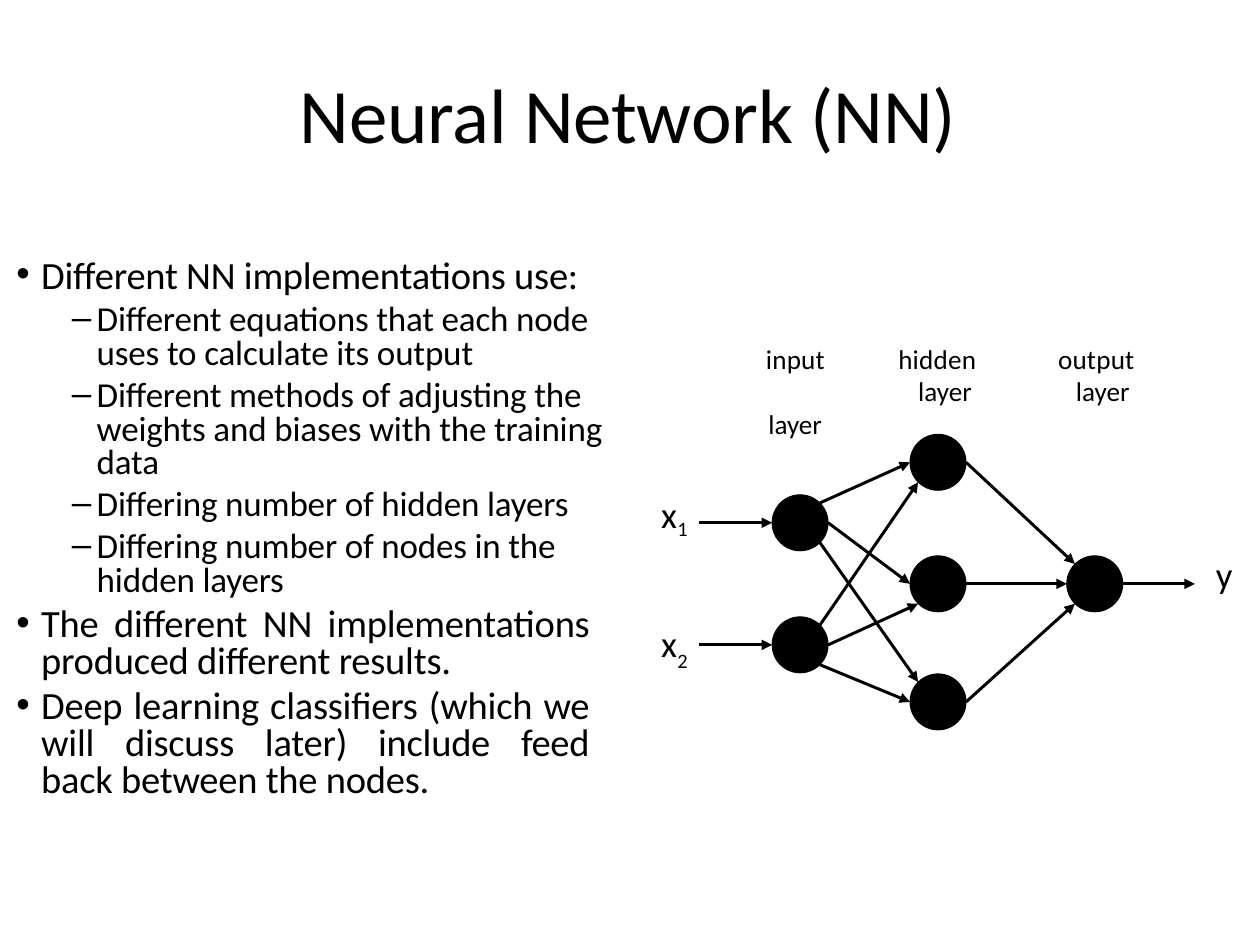
from lxml import etree
from pptx import Presentation
from pptx import util as u
from pptx.dml.color import RGBColor
from pptx.enum import shapes, text
from pptx.oxml import ns

COLORS = {"ink": "000000", "paper": "FFFFFF"}
FONT = "Calibri"
NODE_SIZE = 1.13
LAYERS = {"input": (16.13, (10.54, 13.0)),
          "hidden": (18.91, (9.32, 11.77, 14.15)),
          "output": (22.07, (11.77,))}
PORTS = {"E": (1, 0), "W": (-1, 0), "NE": (0.71, -0.71), "SE": (0.71, 0.71),
         "NW": (-0.71, -0.71), "SW": (-0.71, 0.71)}
LINKS = [
    (("input", 0, "NE"), ("hidden", 0, "W")),
    (("input", 0, "E"), ("hidden", 1, "W")),
    (("input", 0, "SE"), ("hidden", 2, "NW")),
    (("input", 1, "NE"), ("hidden", 0, "SW")),
    (("input", 1, "E"), ("hidden", 1, "SW")),
    (("input", 1, "SE"), ("hidden", 2, "W")),
    (("hidden", 0, "E"), ("output", 0, "NW")),
    (("hidden", 1, "E"), ("output", 0, "W")),
    (("hidden", 2, "E"), ("output", 0, "SW")),
]
POINT = dict(size=22, margin=0.53, indent=-0.5)
DETAIL = dict(size=20, level=1, margin=1.65, indent=-0.5)
WRAPPED = dict(DETAIL, line=0.8, before=4.8)
CONCLUSION = dict(POINT, line=u.Pt(21.1), before=5, right=0.42,
                  align=text.PP_ALIGN.JUSTIFY)
POINTS = [
    ("Different NN implementations use:", POINT),
    ("Different equations that each node uses to calculate its output", WRAPPED),
    ("Different methods of adjusting the weights and biases with the training data", WRAPPED),
    ("Differing number of hidden layers", DETAIL),
    ("Differing number of nodes in the hidden layers", WRAPPED),
    ("The different NN implementations produced different results.", CONCLUSION),
    ("Deep learning classifiers (which we will discuss later) include feed "
     + chr(160).join(("back", "between")) + " the nodes.", CONCLUSION),
]


def color(name):
    return RGBColor.from_string(COLORS[name])


def write(paragraph, words, size=21, level=0, margin=0, indent=0, right=0,
          line=1.0, before=0, align=text.PP_ALIGN.LEFT, baseline=0, spacing=0):
    paragraph.level = level
    paragraph.alignment = align
    paragraph.line_spacing = line
    paragraph.space_before = u.Pt(before)
    properties = paragraph._p.get_or_add_pPr()
    for key, length in (("marL", margin), ("marR", right), ("indent", indent)):
        properties.set(key, str(int(u.Cm(length))))
    run = paragraph.add_run()
    run.text = words
    run.font.name = FONT
    run.font.size = u.Pt(size)
    run.font.color.rgb = color("ink")
    for key, value in (("baseline", baseline), ("spc", spacing)):
        if value:
            run._r.get_or_add_rPr().set(key, str(value))


def prepare(holder, left, top, width, height, anchor=text.MSO_ANCHOR.TOP):
    holder.left, holder.top = u.Cm(left), u.Cm(top)
    holder.width, holder.height = u.Cm(width), u.Cm(height)
    frame = holder.text_frame
    frame.margin_left = frame.margin_right = 0
    frame.margin_top = frame.margin_bottom = 0
    frame.word_wrap = True
    frame.auto_size = text.MSO_AUTO_SIZE.NONE
    frame.vertical_anchor = anchor
    return frame


def add_label(slide, left, top, width, height):
    box = slide.shapes.add_textbox(0, 0, 0, 0)
    return prepare(box, left, top, width, height)


def add_points(holder):
    frame = prepare(holder, 0.3, 5.05, 12.01, 11.2)
    for index, (words, style) in enumerate(POINTS):
        paragraph = frame.add_paragraph() if index else frame.paragraphs[0]
        write(paragraph, words, spacing=-10, **style)


def add_node(slide, x, y):
    corner = NODE_SIZE / 2
    node = slide.shapes.add_shape(shapes.MSO_SHAPE.OVAL, u.Cm(x - corner), u.Cm(y - corner),
                                  u.Cm(NODE_SIZE), u.Cm(NODE_SIZE))
    node.shadow.inherit = False
    node.fill.solid()
    node.fill.fore_color.rgb = color("ink")
    node.line.color.rgb = color("ink")
    node.line.width = u.Pt(0.5)


def port(layer, index, side):
    x, rows = LAYERS[layer]
    across, down = PORTS[side]
    return x + across * NODE_SIZE / 2, rows[index] + down * NODE_SIZE / 2


def add_arrow(slide, start, end):
    arrow = slide.shapes.add_connector(shapes.MSO_CONNECTOR.STRAIGHT,
                                       *(u.Cm(value) for value in (*start, *end)))
    arrow.line.color.rgb = color("ink")
    arrow.line.width = u.Pt(1.71)
    etree.SubElement(arrow.line._get_or_add_ln(), ns.qn("a:tailEnd"),
                     type="triangle", w="med", len="med")
    etree.SubElement(arrow._element.spPr, ns.qn("a:effectLst"))


def add_network(slide):
    for x, rows in LAYERS.values():
        for y in rows:
            add_node(slide, x, y)
    for source, target in LINKS:
        add_arrow(slide, port(*source), port(*target))
    for index in range(2):
        x, y = port("input", index, "W")
        add_arrow(slide, (x - 1.47, y), (x, y))
    x, y = port("output", 0, "E")
    add_arrow(slide, (x, y), (x + 1.45, y))


def add_captions(slide):
    for layer, left, shift, gap in (("input", 15.44, 0.05, 18.9),
                                    ("hidden", 18.11, 0.4, 0),
                                    ("output", 21.33, 0.36, 0)):
        frame = add_label(slide, left, 6.9, 1.9, 2.05 if gap else 1.4)
        write(frame.paragraphs[0], layer, size=15.5, spacing=15)
        write(frame.add_paragraph(), "layer", size=15.5, margin=shift, before=gap)


def add_variables(slide):
    for digit, top, drop in (("1", 9.92, -21000), ("2", 12.52, -30000)):
        paragraph = add_label(slide, 13.33, top, 0.8, 0.92).paragraphs[0]
        write(paragraph, "x", spacing=20)
        write(paragraph, digit, size=20.2, baseline=drop)
    write(add_label(slide, 24.51, 11.12, 0.45, 0.92).paragraphs[0], "y")


def main():
    deck = Presentation()
    deck.slide_width, deck.slide_height = u.Cm(25.4), u.Cm(19.05)
    slide = deck.slides.add_slide(deck.slide_layouts[1])
    slide.background.fill.solid()
    slide.background.fill.fore_color.rgb = color("paper")
    title, body = slide.placeholders
    frame = prepare(title, 6.04, 1.3, 13.4, 1.93, text.MSO_ANCHOR.MIDDLE)
    write(frame.paragraphs[0], "Neural Network (NN)", size=44, spacing=-10)
    add_points(body)
    add_network(slide)
    add_variables(slide)
    add_captions(slide)
    deck.save("out.pptx")


if __name__ == "__main__":
    main()
